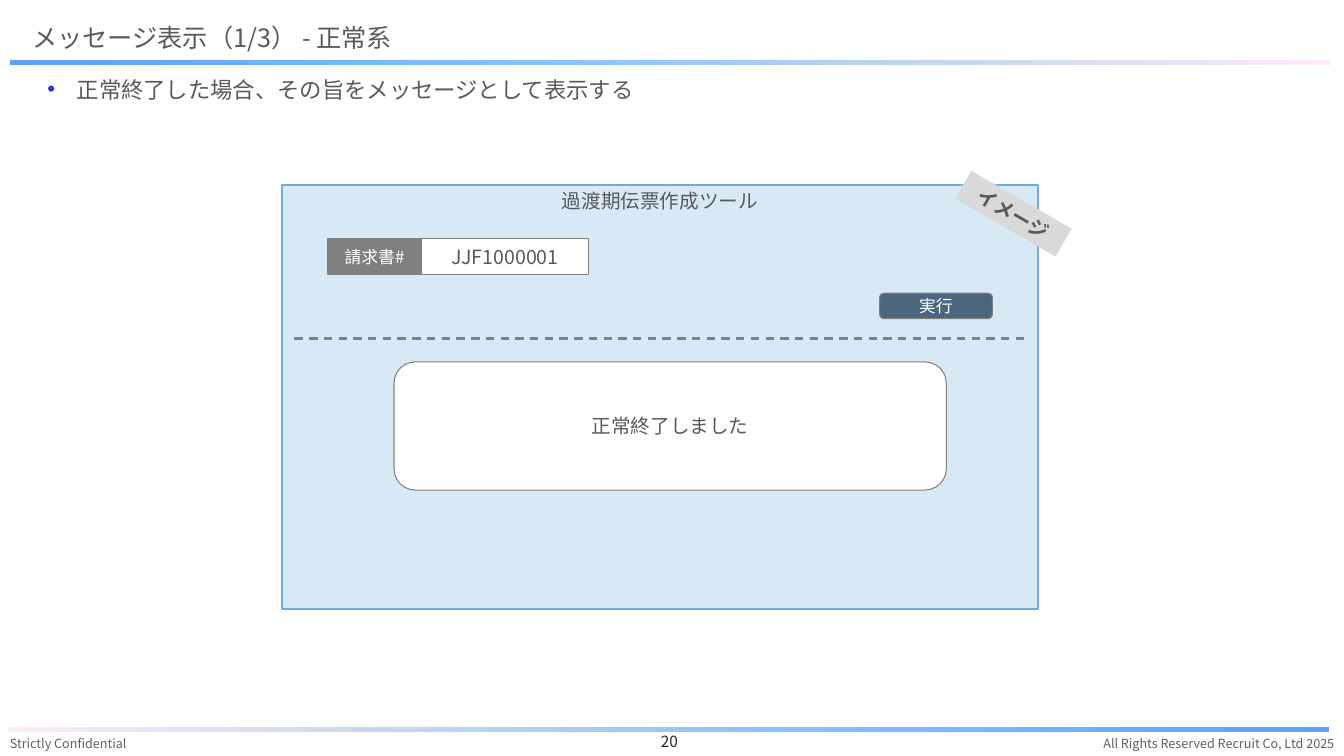
"""Build the slide that shows the message for a normal end."""
from lxml.etree import SubElement
from pptx import Presentation
from pptx.dml.color import RGBColor
from pptx.enum.dml import MSO_LINE
from pptx.enum.shapes import MSO_CONNECTOR, MSO_SHAPE
from pptx.enum.text import MSO_ANCHOR, PP_ALIGN
from pptx.oxml import parse_xml
from pptx.oxml.ns import nsdecls, qn
from pptx.util import Cm, Pt

FONT = "Noto Sans CJK JP"
TEXT = RGBColor(0x59, 0x59, 0x59)
FOOTER = RGBColor(0x60, 0x60, 0x60)
NUMBER = RGBColor(0x26, 0x26, 0x26)
WHITE = RGBColor(0xFF, 0xFF, 0xFF)
GRAY = RGBColor(0x80, 0x80, 0x80)
BADGE = RGBColor(0xD9, 0xD9, 0xD9)
PANEL = RGBColor(0xD7, 0xE9, 0xF5)
PANEL_EDGE = RGBColor(0x6C, 0xAD, 0xDB)
BUTTON = RGBColor(0x4C, 0x66, 0x80)
BULLET = RGBColor(0x33, 0x33, 0xCC)
BAR_STOPS = [
    (0, RGBColor(0x5E, 0x9E, 0xFF)),
    (40, RGBColor(0x85, 0xC2, 0xFF)),
    (70, RGBColor(0xC4, 0xD6, 0xEB)),
    (100, RGBColor(0xFF, 0xEB, 0xFA)),
]


def write(sp, text, size, color, align, anchor):
    tf = sp.text_frame
    tf.text = text
    tf.word_wrap = True
    tf.vertical_anchor = anchor
    p = tf.paragraphs[0]
    p.alignment = align
    p.space_before = Pt(0)
    r = p.runs[0]
    r.font.size = Pt(size)
    r.font.name = FONT
    r.font.color.rgb = color
    SubElement(r.font._element, qn("a:ea"), typeface=FONT)
    return tf


def add_box(kind, box, fill, edge, width, text, size, color, anchor=MSO_ANCHOR.MIDDLE):
    sp = s.shapes.add_shape(kind, *map(Cm, box))
    sp.shadow.inherit = False
    sp.fill.solid()
    sp.fill.fore_color.rgb = fill
    if edge is None:
        sp.line.fill.background()
    else:
        sp.line.color.rgb = edge
        sp.line.width = Pt(width)
    tf = write(sp, text, size, color, PP_ALIGN.CENTER, anchor)
    tf.margin_left = tf.margin_right = tf.margin_top = tf.margin_bottom = Cm(0.1)
    return sp


prs = Presentation()
prs.slide_width, prs.slide_height = Cm(33.87), Cm(19.05)
s = prs.slides.add_slide(prs.slide_layouts[1])

title, body = s.shapes.title, s.placeholders[1]
title.left, title.top, title.width, title.height = Cm(0.56), Cm(0.43), Cm(27.58), Cm(1.04)
write(title, "メッセージ表示（1/3） - 正常系", 18, TEXT, PP_ALIGN.LEFT, MSO_ANCHOR.MIDDLE)

body.left, body.top, body.width, body.height = Cm(0.94), Cm(1.78), Cm(32), Cm(1.02)
tf = write(body, "正常終了した場合、その旨をメッセージとして表示する", 16, TEXT, PP_ALIGN.LEFT, MSO_ANCHOR.TOP)
pPr = tf.paragraphs[0]._p.get_or_add_pPr()
pPr.set("marL", str(Cm(0.74)))
pPr.set("indent", str(-Cm(0.74)))
SubElement(SubElement(pPr, qn("a:buClr")), qn("a:srgbClr"), val=str(BULLET))
SubElement(pPr, qn("a:buFont"), typeface="Arial")
SubElement(pPr, qn("a:buChar"), char="•")

for left, top, reverse in [(0.25, 1.52, False), (0.2, 18.31, True)]:
    bar = s.shapes.add_shape(MSO_SHAPE.RECTANGLE, Cm(left), Cm(top), Cm(33.3), Cm(0.13))
    bar.shadow.inherit = False
    bar.line.fill.background()
    stops = [(100 - pos, c) for pos, c in reversed(BAR_STOPS)] if reverse else BAR_STOPS
    gs = "".join(f'<a:gs pos="{pos * 1000}"><a:srgbClr val="{c}"/></a:gs>' for pos, c in stops)
    grad = f'<a:gradFill {nsdecls("a")}><a:gsLst>{gs}</a:gsLst><a:lin ang="0" scaled="0"/></a:gradFill>'
    bar._element.spPr.find(qn("a:prstGeom")).addnext(parse_xml(grad))

footers = [
    ("Strictly Confidential", 0, 3.56, 9, FOOTER, PP_ALIGN.LEFT, MSO_ANCHOR.TOP),
    ("20", 13.34, 7.06, 11, NUMBER, PP_ALIGN.CENTER, MSO_ANCHOR.BOTTOM),
    ("All Rights Reserved Recruit Co, Ltd 2025", 26.97, 6.9, 9, FOOTER, PP_ALIGN.RIGHT, MSO_ANCHOR.TOP),
]
for text, left, width, size, color, align, anchor in footers:
    tb = s.shapes.add_textbox(Cm(left), Cm(18.42), Cm(width), Cm(0.63))
    write(tb, text, size, color, align, anchor).word_wrap = False

add_box(MSO_SHAPE.FLOWCHART_PROCESS, (7.11, 4.67, 19.05, 10.67), PANEL, PANEL_EDGE, 1.5,
        "過渡期伝票作成ツール", 14, TEXT, MSO_ANCHOR.TOP)
add_box(MSO_SHAPE.ROUNDED_RECTANGLE, (22.17, 7.39, 2.84, 0.64), BUTTON, GRAY, 0.75, "実行", 12, WHITE)
add_box(MSO_SHAPE.ROUNDED_RECTANGLE, (9.93, 9.12, 13.92, 3.23), WHITE, GRAY, 0.75,
        "正常終了しました", 14, TEXT)

divider = s.shapes.add_connector(MSO_CONNECTOR.STRAIGHT, Cm(7.42), Cm(8.53), Cm(25.88), Cm(8.53))
divider.line.color.rgb = GRAY
divider.line.width = Pt(1.5)
divider.line.dash_style = MSO_LINE.DASH
SubElement(divider._element.spPr, qn("a:effectLst"))

badge = add_box(MSO_SHAPE.FLOWCHART_PROCESS, (24.08, 4.98, 2.92, 0.81), BADGE, None, 0, "イメージ", 14, TEXT)
badge.rotation = 30
badge.text_frame.paragraphs[0].runs[0].font.bold = True

add_box(MSO_SHAPE.RECTANGLE, (8.26, 6.02, 2.36, 0.89), GRAY, GRAY, 0.75, "請求書#", 12, WHITE)
add_box(MSO_SHAPE.RECTANGLE, (10.62, 6.02, 4.22, 0.89), WHITE, GRAY, 0.75, "JJF1000001", 14, TEXT)

prs.save("out.pptx")
